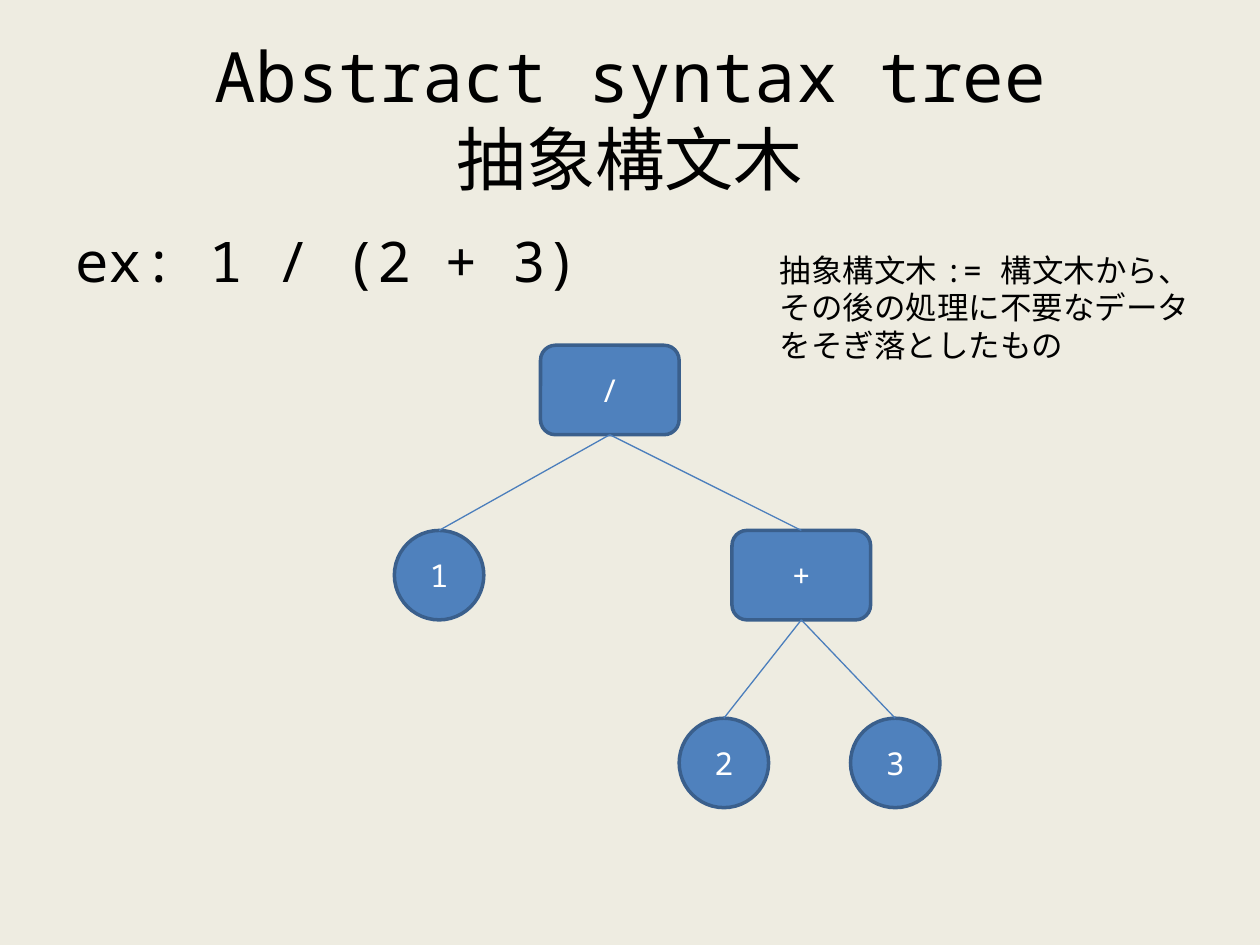
from lxml.etree import SubElement
from pptx import Presentation
from pptx.dml.color import RGBColor
from pptx.enum.shapes import MSO_CONNECTOR as Connector, MSO_SHAPE as Shape
from pptx.enum.text import MSO_ANCHOR as Anchor, PP_ALIGN as Align
from pptx.oxml.ns import qn
from pptx.util import Inches, Pt

COLORS = {
    "background": "EEECE1",
    "text": "000000",
    "node": "4F81BD",
    "outline": "3A5F8C",
    "edge": "4B7EBC",
    "label": "FFFFFF",
}
FONT = "Noto Sans Mono"
NODE_HEIGHT = 0.71
OPERATOR_WIDTH = 1.1
TOP, BOTTOM = 0, 2  # connection sites


def color(name):
    return RGBColor.from_string(COLORS[name])


def write(frame, text, size=18, fill="text", align=Align.LEFT, anchor=Anchor.TOP):
    """Fill a text frame, one paragraph per line of text."""
    frame.word_wrap = True
    frame.vertical_anchor = anchor
    for index, line in enumerate(text.split("\n")):
        paragraph = frame.paragraphs[0] if index == 0 else frame.add_paragraph()
        paragraph.alignment = align
        run = paragraph.add_run()
        run.text = line
        run.font.size = Pt(size)
        run.font.name = FONT
        run.font.color.rgb = color(fill)


class TreeSlide:
    def __init__(self, slide):
        self.slide = slide
        background = slide.background.fill
        background.solid()
        background.fore_color.rgb = color("background")

    def text(self, content, left, top, width, height, **style):
        box = self.slide.shapes.add_textbox(
            Inches(left), Inches(top), Inches(width), Inches(height))
        write(box.text_frame, content, **style)

    def node(self, kind, label, left, top, width):
        node = self.slide.shapes.add_shape(
            kind, Inches(left), Inches(top), Inches(width), Inches(NODE_HEIGHT))
        node.shadow.inherit = False
        node.fill.solid()
        node.fill.fore_color.rgb = color("node")
        node.line.color.rgb = color("outline")
        node.line.width = Pt(2)
        write(node.text_frame, label, fill="label",
              align=Align.CENTER, anchor=Anchor.MIDDLE)
        return node

    def operator(self, label, left, top):
        return self.node(Shape.ROUNDED_RECTANGLE, label, left, top, OPERATOR_WIDTH)

    def number(self, label, left, top):
        return self.node(Shape.OVAL, label, left, top, NODE_HEIGHT)

    def edge(self, parent, child):
        edge = self.slide.shapes.add_connector(Connector.STRAIGHT, 0, 0, 0, 0)
        edge.begin_connect(parent, BOTTOM)
        edge.end_connect(child, TOP)
        edge.line.color.rgb = color("edge")
        edge.line.width = Pt(0.75)
        SubElement(edge._element.spPr, qn("a:effectLst"))


def main():
    deck = Presentation()
    deck.slide_width, deck.slide_height = Inches(10), Inches(7.5)
    page = TreeSlide(deck.slides.add_slide(deck.slide_layouts[6]))

    page.text("Abstract syntax tree\n抽象構文木", 0.5, 0.3, 9, 1.25,
              size=39.6, align=Align.CENTER, anchor=Anchor.MIDDLE)
    page.text("ex: 1 / (2 + 3)", 0.5, 1.75, 9, 4.95, size=32)

    root_top, middle_top, leaf_top = 2.74, 4.21, 5.7
    divide = page.operator("/", 4.29, root_top)
    one = page.number("1", 3.13, middle_top)
    plus = page.operator("+", 5.81, middle_top)
    two = page.number("2", 5.39, leaf_top)
    three = page.number("3", 6.75, leaf_top)
    for parent, children in ((divide, (one, plus)), (plus, (two, three))):
        for child in children:
            page.edge(parent, child)

    page.text("抽象構文木 := 構文木から、その後の処理に不要なデータをそぎ落としたもの",
              6.09, 1.94, 3.64, 1.01)

    deck.save("out.pptx")


if __name__ == "__main__":
    main()
